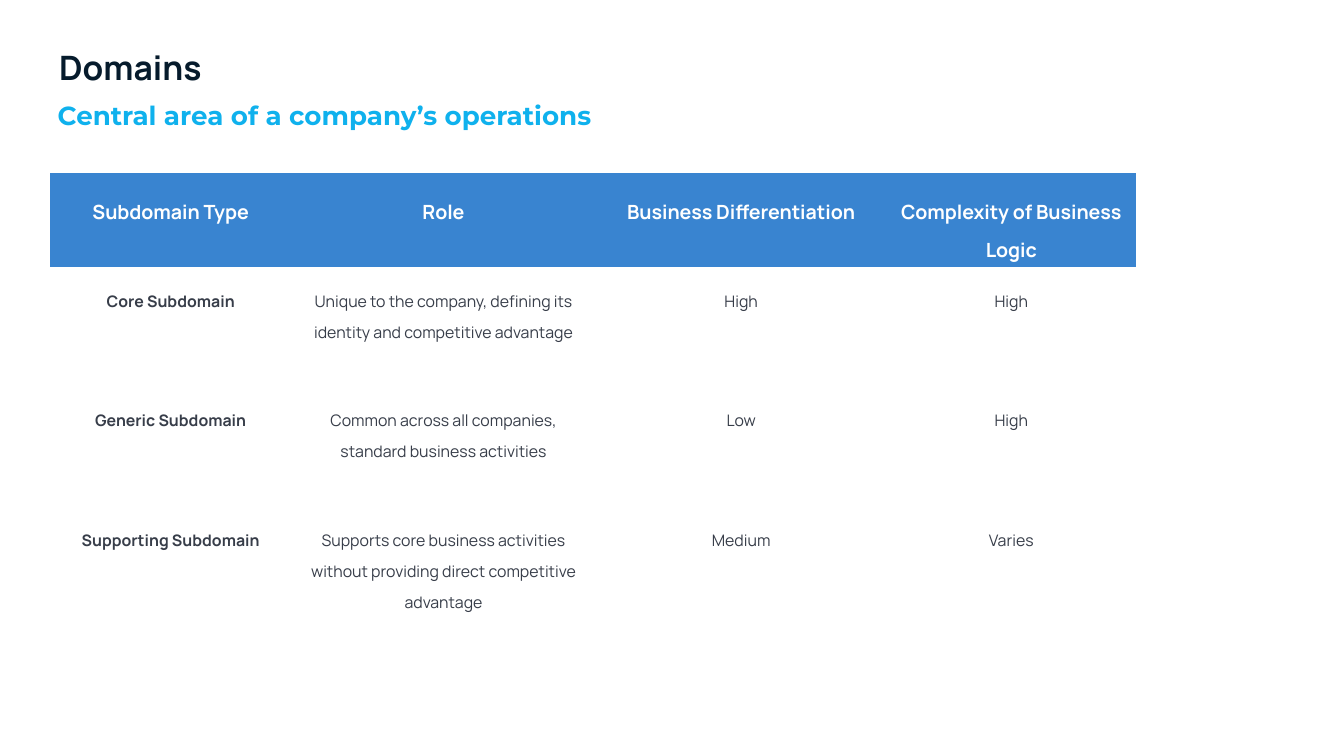
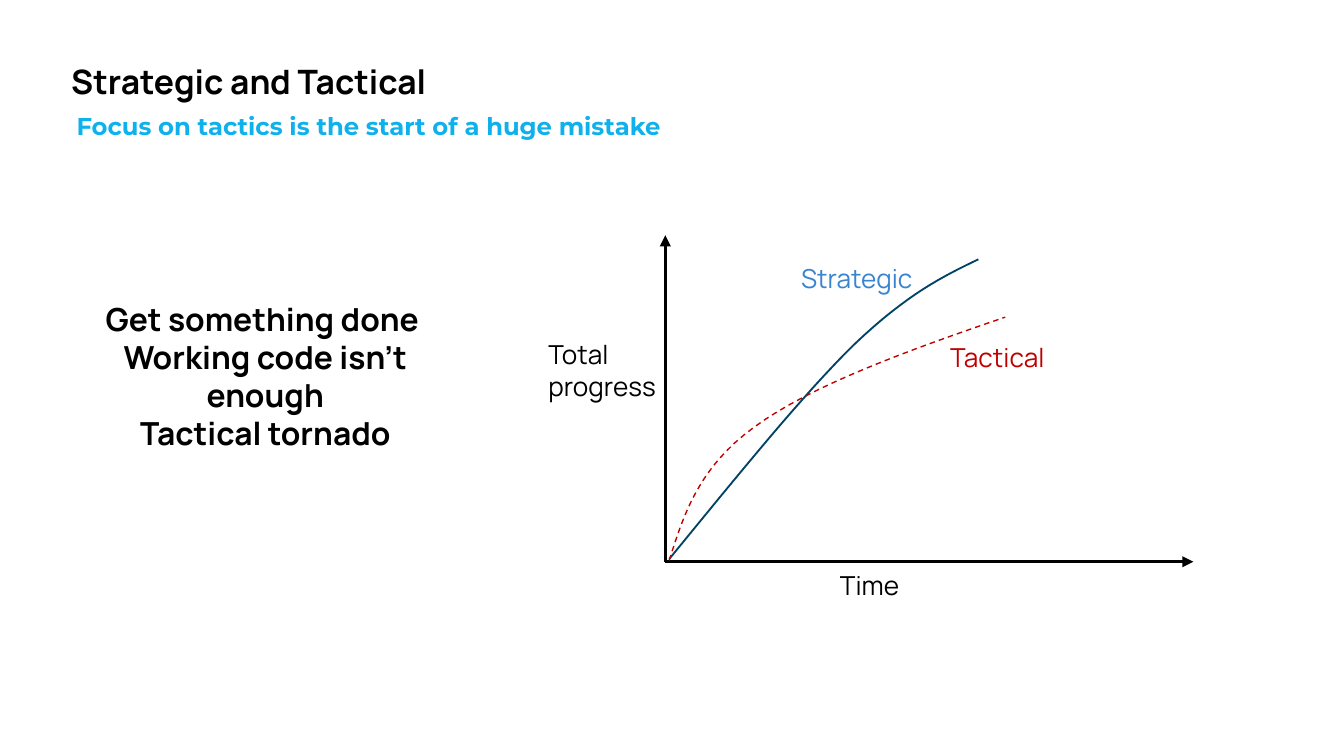
"""Build two slides on subdomain types and on strategic versus tactical work."""
from dataclasses import dataclass

from lxml import etree
from pptx import Presentation
from pptx.dml.color import RGBColor
from pptx.enum.dml import MSO_LINE
from pptx.enum.shapes import MSO_CONNECTOR
from pptx.enum.text import MSO_ANCHOR, PP_ALIGN
from pptx.oxml.ns import qn
from pptx.util import Inches, Pt

STRAIGHT = MSO_CONNECTOR.STRAIGHT
DASH = MSO_LINE.DASH
TOP = MSO_ANCHOR.TOP
LEFT, CENTER = PP_ALIGN.LEFT, PP_ALIGN.CENTER
PLAIN_TABLE_STYLE = "{2D5ABB26-0587-4C30-8999-92F81FD0307C}"
CURVE_STEPS = 16


@dataclass(frozen=True)
class Theme:
    """Fonts, colours and type sizes of the deck."""
    body_font: str = "Manrope"
    accent_font: str = "Montserrat"
    black: str = "000000"
    navy: str = "061B2C"
    sky: str = "0FB1ED"
    blue: str = "3984D0"
    white: str = "FFFFFF"
    slate: str = "373D49"
    deep_blue: str = "004366"
    red: str = "C00000"
    title: float = 18
    statement: float = 17
    subtitle: float = 14
    small_subtitle: float = 13
    label: float = 14
    table_head: float = 10.5
    table_body: float = 8.5


theme = Theme()


def style_text(frame, size, color, bold=False, font=theme.body_font, align=LEFT):
    for para in frame.paragraphs:
        para.alignment = align
        for span in para.runs:
            span.font.name = font
            span.font.size = Pt(size)
            span.font.bold = bold
            span.font.color.rgb = RGBColor.from_string(color)


def add_text(shapes, place, text, size, color, inset=(0.07, 0.04), **style):
    box = shapes.add_textbox(*[Inches(length) for length in place])
    frame = box.text_frame
    frame.word_wrap = True
    frame.vertical_anchor = TOP
    frame.margin_left = frame.margin_right = Inches(inset[0])
    frame.margin_top = frame.margin_bottom = Inches(inset[1])
    frame.text = text
    style_text(frame, size, color, **style)


deck = Presentation()
deck.slide_width = Inches(10)
deck.slide_height = Inches(10 * 9 / 16)
blank = deck.slide_layouts[6]
subtitle_style = {"bold": True, "font": theme.accent_font}

page = deck.slides.add_slide(blank)
add_text(page.shapes, (0.37, 0.31, 6.63, 0.38), "Domains", theme.title, theme.navy, bold=True)
add_text(page.shapes, (0.33, 0.69, 5.92, 0.34), "Central area of a company’s operations",
         theme.subtitle, theme.sky, inset=(0.1, 0.05), **subtitle_style)

subdomains = [
    ["Subdomain Type", "Role", "Business Differentiation", "Complexity of Business Logic"],
    ["Core Subdomain", "Unique to the company, defining its identity and competitive advantage",
     "High", "High"],
    ["Generic Subdomain", "Common across all companies, standard business activities",
     "Low", "High"],
    ["Supporting Subdomain",
     "Supports core business activities without providing direct competitive advantage",
     "Medium", "Varies"],
]
column_widths = [1.8, 2.26, 2.17, 1.85]
row_heights = [0.7, 0.89, 0.89, 1.08]
table = page.shapes.add_table(
    len(row_heights), len(column_widths), Inches(0.37), Inches(1.29),
    Inches(sum(column_widths)), Inches(sum(row_heights))).table
table._tbl.tblPr.find(qn("a:tableStyleId")).text = PLAIN_TABLE_STYLE
table.horz_banding = False
for column, width in zip(table.columns, column_widths):
    column.width = Inches(width)
for row, height in zip(table.rows, row_heights):
    row.height = Inches(height)

for row_index, texts in enumerate(subdomains):
    is_head = row_index == 0
    for column_index, text in enumerate(texts):
        cell = table.cell(row_index, column_index)
        cell.margin_left = cell.margin_right = Inches(0.1)
        cell.margin_top = cell.margin_bottom = Inches(0.1)
        cell.vertical_anchor = TOP
        if is_head:
            cell.fill.solid()
            cell.fill.fore_color.rgb = RGBColor.from_string(theme.blue)
        else:
            cell.fill.background()
        cell.text_frame.text = text
        para = cell.text_frame.paragraphs[0]
        para.line_spacing = 1.43
        para.space_after = Pt(15)
        style_text(cell.text_frame,
                   theme.table_head if is_head else theme.table_body,
                   theme.white if is_head else theme.slate,
                   bold=is_head or column_index == 0, align=CENTER)

page = deck.slides.add_slide(blank)
add_text(page.shapes, (0.46, 0.41, 4.28, 0.38), "Strategic and Tactical",
         theme.title, theme.black, bold=True)
add_text(page.shapes, (0.5, 0.79, 5.15, 0.29), "Focus on tactics is the start of a huge mistake",
         theme.small_subtitle, theme.sky, **subtitle_style)
add_text(page.shapes, (0.71, 2.19, 2.53, 1.51),
         "Get something done \nWorking code isn't enough\nTactical tornado",
         theme.statement, theme.black, bold=True, align=CENTER)

diagram = page.shapes.add_group_shape().shapes
origin = (4.95, 4.18)
for tip in [(4.95, 1.75), (8.88, 4.18)]:
    axis = diagram.add_connector(STRAIGHT, *[Inches(length) for length in origin + tip])
    axis.line.color.rgb = RGBColor.from_string(theme.black)
    axis.line.width = Pt(1.5)
    etree.SubElement(axis.line._get_or_add_ln(), qn("a:tailEnd"), type="triangle")
    etree.SubElement(axis._element.spPr, qn("a:effectLst"))

curves = [
    (theme.deep_blue, 1, None,
     [(4.98, 4.16), (5.48, 3.55), (5.98, 2.93), (6.36, 2.56),
      (6.75, 2.19), (7.01, 2.06), (7.28, 1.93)]),
    (theme.red, 0.75, DASH,
     [(4.98, 4.17), (5.09, 3.82), (5.2, 3.48), (5.61, 3.18),
      (6.03, 2.87), (6.75, 2.61), (7.48, 2.36)]),
]
for color, width, dash, controls in curves:
    points = []
    for first in range(0, len(controls) - 1, 3):
        segment = controls[first:first + 4]
        for step in range(1, CURVE_STEPS + 1):
            t = step / CURVE_STEPS
            weights = ((1 - t) ** 3, 3 * t * (1 - t) ** 2, 3 * t ** 2 * (1 - t), t ** 3)
            points.append(tuple(
                Inches(sum(weight * length for weight, length in zip(weights, lengths)))
                for lengths in zip(*segment)))
    builder = diagram.build_freeform(*[Inches(length) for length in controls[0]])
    builder.add_line_segments(points, close=False)
    curve = builder.convert_to_shape()
    curve.shadow.inherit = False
    curve.fill.background()
    curve.line.color.rgb = RGBColor.from_string(color)
    curve.line.width = Pt(width)
    if dash:
        curve.line.dash_style = dash

labels = [
    ("Strategic", (5.89, 1.91, 1.3, 0.31), theme.blue),
    ("Tactical", (7, 2.5, 1.3, 0.31), theme.red),
    ("Time", (6.18, 4.2, 1.3, 0.31), theme.black),
    ("Total progress", (4.01, 2.48, 1.05, 0.55), theme.black),
]
for text, place, color in labels:
    add_text(diagram, place, text, theme.label, color)

deck.save("out.pptx")
